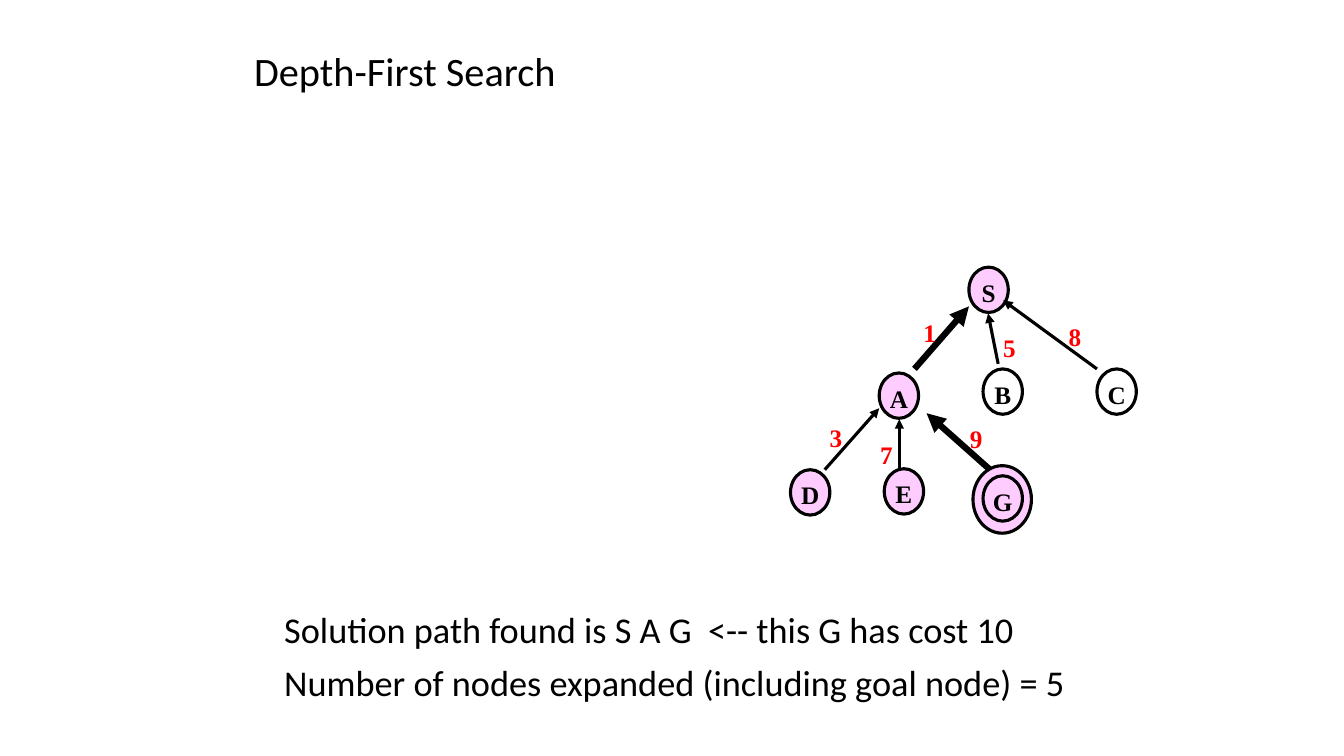
"""Build the depth-first search slide with its search tree and result."""
from dataclasses import dataclass

from lxml import etree
from pptx import Presentation
from pptx.dml.color import RGBColor
from pptx.enum.shapes import MSO_CONNECTOR, MSO_SHAPE
from pptx.enum.text import MSO_ANCHOR, PP_ALIGN
from pptx.oxml.ns import qn
from pptx.util import Inches, Pt

OVAL = MSO_SHAPE.OVAL
STRAIGHT = MSO_CONNECTOR.STRAIGHT
MIDDLE = MSO_ANCHOR.MIDDLE
LEFT, CENTER = PP_ALIGN.LEFT, PP_ALIGN.CENTER

NODE_SIZE = (0.39, 0.45)
GOAL_RING = (9.65, 4.62, 0.58, 0.67)
NODES = [
    ("S", 9.61, 2.65, True),
    ("A", 8.72, 3.70, True),
    ("B", 9.75, 3.66, False),
    ("C", 10.88, 3.66, False),
    ("D", 7.84, 4.66, True),
    ("E", 8.77, 4.65, True),
    ("G", 9.75, 4.72, False),
]
EDGES = [
    ("1", (9.07, 3.66), (9.61, 3.04), (9.06, 3.10), True),
    ("5", (9.90, 3.61), (9.80, 3.11), (9.85, 3.25), False),
    ("8", (10.88, 3.66), (9.95, 2.98), (10.50, 3.14), False),
    ("3", (8.18, 4.66), (8.72, 4.05), (8.13, 4.14), False),
    ("7", (8.92, 4.66), (8.92, 4.16), (8.63, 4.31), False),
    ("9", (9.82, 4.66), (9.19, 4.10), (9.52, 4.15), True),
]
RESULTS = [
    "Solution path found is S A G  <-- this G has cost 10",
    "Number of nodes expanded (including goal node) = 5",
]


@dataclass(frozen=True)
class Theme:
    text_font: str = "Calibri"
    tree_font: str = "Times New Roman"
    black: RGBColor = RGBColor(0x00, 0x00, 0x00)
    cost: RGBColor = RGBColor(0xFF, 0x00, 0x00)
    expanded: RGBColor = RGBColor(0xFF, 0xCC, 0xFF)
    title_size: float = 28.8
    body_size: float = 25.9
    tree_size: float = 18
    thin: float = 2.25
    thick: float = 4.5


class SlideBuilder:
    def __init__(self, slide, theme):
        self.s = slide
        self.theme = theme

    def style(self, p, font, size, color, bold=False, align=LEFT):
        p.alignment = align
        for r in p.runs:
            r.font.name = font
            r.font.size = Pt(size)
            r.font.bold = bold
            r.font.color.rgb = color

    def tree_text(self, tf, text, color, align=LEFT):
        tf.text = text
        tf.word_wrap = False
        self.style(tf.paragraphs[0], self.theme.tree_font,
                   self.theme.tree_size, color, True, align)

    def title(self, text, x, y, w, h):
        sp = self.s.shapes.title
        sp.left, sp.top, sp.width, sp.height = map(Inches, (x, y, w, h))
        tf = sp.text_frame
        tf.text = text
        tf.vertical_anchor = MIDDLE
        p = tf.paragraphs[0]
        p.line_spacing = 0.9
        self.style(p, self.theme.text_font, self.theme.title_size, self.theme.black)

    def body(self, lines, x, y, w, h):
        tf = self.s.shapes.add_textbox(*map(Inches, (x, y, w, h))).text_frame
        tf.word_wrap = True
        tf.text = "\n".join(lines)
        for i, p in enumerate(tf.paragraphs):
            p.line_spacing = 0.9
            p.space_before = Pt(10 if i else 0)
            self.style(p, self.theme.text_font, self.theme.body_size, self.theme.black)

    def oval(self, x, y, w, h, filled):
        sp = self.s.shapes.add_shape(OVAL, *map(Inches, (x, y, w, h)))
        sp.shadow.inherit = False
        if filled:
            sp.fill.solid()
            sp.fill.fore_color.rgb = self.theme.expanded
        else:
            sp.fill.background()
        sp.line.color.rgb = self.theme.black
        sp.line.width = Pt(self.theme.thin)
        return sp

    def node(self, name, x, y, filled):
        tf = self.oval(x, y, *NODE_SIZE, filled).text_frame
        tf.margin_left = tf.margin_right = tf.margin_bottom = 0
        tf.margin_top = Inches(0.05)
        tf.vertical_anchor = MIDDLE
        self.tree_text(tf, name, self.theme.black, CENTER)

    def arrow(self, child, parent, on_path):
        c = self.s.shapes.add_connector(STRAIGHT, *map(Inches, child + parent))
        c.line.color.rgb = self.theme.black
        c.line.width = Pt(self.theme.thick if on_path else self.theme.thin)
        ln = c.line._get_or_add_ln()
        etree.SubElement(ln, qn("a:tailEnd"), type="triangle")
        etree.SubElement(c._element.spPr, qn("a:effectLst"))

    def cost(self, text, x, y):
        sp = self.s.shapes.add_textbox(*map(Inches, (x, y, 0.33, 0.4)))
        self.tree_text(sp.text_frame, text, self.theme.cost)


def main():
    prs = Presentation()
    prs.slide_width, prs.slide_height = Inches(13.33), Inches(7.5)
    b = SlideBuilder(prs.slides.add_slide(prs.slide_layouts[5]), Theme())
    b.title("Depth-First Search", 2.42, 0.37, 8.5, 0.72)
    b.body(RESULTS, 2.72, 6.02, 8.61, 1.03)
    b.oval(*GOAL_RING, True)
    for node in NODES:
        b.node(*node)
    for cost, child, parent, label_at, on_path in EDGES:
        b.arrow(child, parent, on_path)
        b.cost(cost, *label_at)
    prs.save("out.pptx")


if __name__ == "__main__":
    main()
